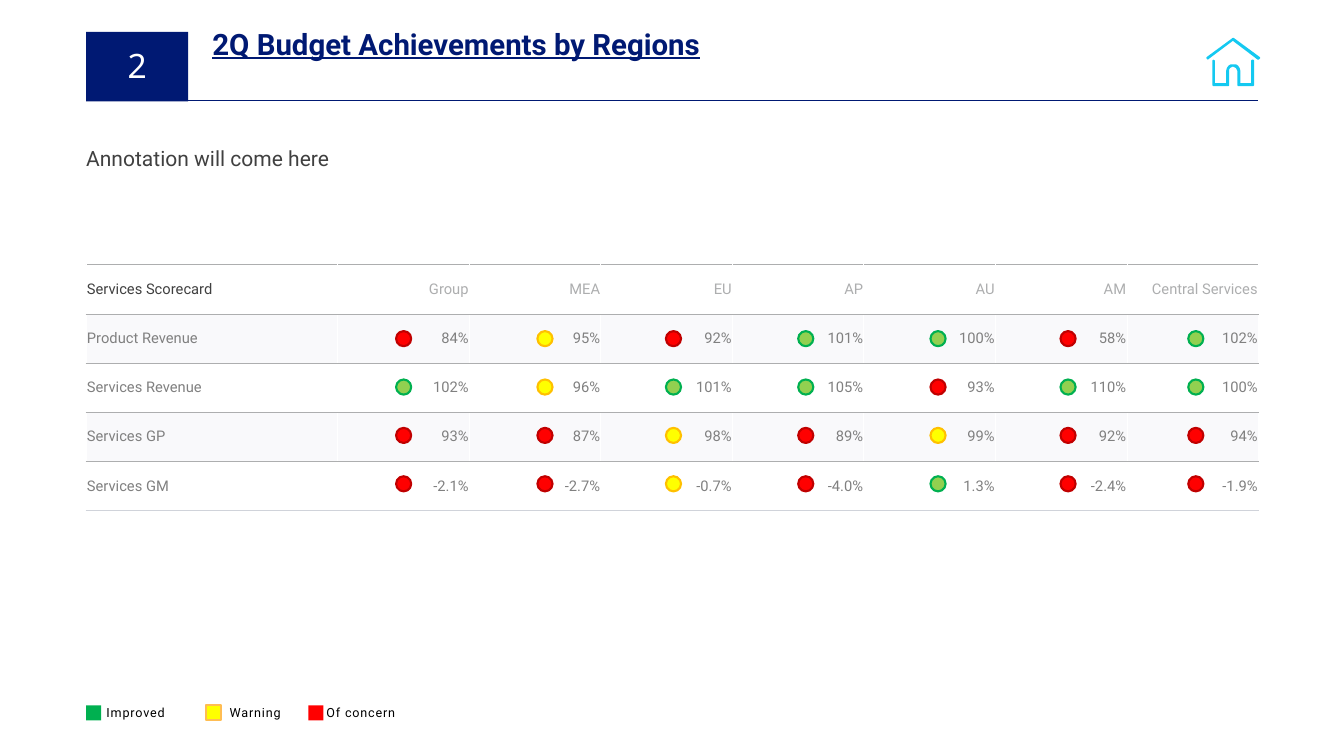
from lxml.etree import SubElement
from pptx import Presentation
from pptx.dml.color import RGBColor
from pptx.enum.shapes import MSO_CONNECTOR, MSO_SHAPE
from pptx.enum.text import MSO_ANCHOR, PP_ALIGN
from pptx.oxml.ns import qn
from pptx.util import Pt

PX = 9144  # 100 px to the inch

NAVY = RGBColor(0x00, 0x19, 0x73)
CYAN = RGBColor(0x14, 0xC9, 0xF1)
WHITE = RGBColor(0xFF, 0xFF, 0xFF)
BLACK = RGBColor(0x00, 0x00, 0x00)
DARK = RGBColor(0x40, 0x40, 0x40)
GRAY = RGBColor(0x80, 0x80, 0x80)
SILVER = RGBColor(0xAD, 0xAE, 0xAF)
PALE = RGBColor(0xD0, 0xD3, 0xDA)
BAND = RGBColor(0xF9, 0xF9, 0xFB)
RED = RGBColor(0xFF, 0x00, 0x00)
DARK_RED = RGBColor(0xC0, 0x00, 0x00)
LIME = RGBColor(0x92, 0xD0, 0x50)
GREEN = RGBColor(0x00, 0xB0, 0x50)
YELLOW = RGBColor(0xFF, 0xFF, 0x00)
AMBER = RGBColor(0xFF, 0xC0, 0x00)
ORANGE = RGBColor(0xFF, 0xBD, 0x53)


def write(frame, text, size, color, font="Roboto", spacing=0):
    """Add one run to the first paragraph; spacing is in hundredths of a point."""
    run = frame.paragraphs[0].add_run()
    run.text = text
    run.font.size = Pt(size)
    run.font.name = font
    run.font.color.rgb = color
    if spacing:
        run.font._element.set("spc", str(spacing))
    return run


def paint(shape, fill, line=None):
    """Give a shape a flat fill, no shadow and an optional 2 pt outline."""
    shape.shadow.inherit = False
    shape.fill.solid()
    shape.fill.fore_color.rgb = fill
    if line is None:
        shape.line.fill.background()
    else:
        shape.line.color.rgb = line
        shape.line.width = Pt(2)


prs = Presentation()
prs.slide_width, prs.slide_height = 1778 * PX, 1000 * PX
slide = prs.slides.add_slide(prs.slide_layouts[5])
shapes = slide.shapes

# Scorecard table
scorecard = [
    ["Services Scorecard", "Group", "MEA", "EU", "AP", "AU", "AM", "Central Services"],
    ["Product Revenue", "84%", "95%", "92%", "101%", "100%", "58%", "102%"],
    ["Services Revenue", "102%", "96%", "101%", "105%", "93%", "110%", "100%"],
    ["Services GP", "93%", "87%", "98%", "89%", "99%", "92%", "94%"],
    ["Services GM", "-2.1%", "-2.7%", "-0.7%", "-4.0%", "1.3%", "-2.4%", "-1.9%"],
]
last_row = len(scorecard) - 1
table = shapes.add_table(5, 8, 114 * PX, 350 * PX, 1550 * PX, 325 * PX).table
table.first_row = table.horz_banding = False
for c, column in enumerate(table.columns):
    column.width = (174 if c else 333) * PX
for r, row in enumerate(scorecard):
    table.rows[r].height = 65 * PX
    top = (SILVER, 0.25 if r else 0.5)
    bottom = (PALE, 1) if r == last_row else (SILVER, 0.25)
    for c, text in enumerate(row):
        cell = table.cell(r, c)
        cell.margin_left = cell.margin_top = cell.margin_right = PX
        cell.margin_bottom = 0
        cell.vertical_anchor = MSO_ANCHOR.MIDDLE
        borders = {"a:lnL": (WHITE, 1), "a:lnR": (WHITE, 1), "a:lnT": top, "a:lnB": bottom}
        for side, (color, width) in borders.items():
            border = SubElement(cell._tc.get_or_add_tcPr(), qn(side), w=str(Pt(width)))
            SubElement(SubElement(border, qn("a:solidFill")), qn("a:srgbClr"), val=str(color))
        cell.fill.solid()
        cell.fill.fore_color.rgb = BAND if r % 2 else WHITE
        if r:
            text_color = GRAY
        else:
            text_color = SILVER if c else DARK
        cell.text_frame.paragraphs[0].alignment = PP_ALIGN.RIGHT if c else PP_ALIGN.LEFT
        write(cell.text_frame, text, 14, text_color)

# Title
title = shapes.title
title.left, title.top, title.width, title.height = 281 * PX, 33 * PX, 1117 * PX, 49 * PX
heading = title.text_frame
heading.margin_left = heading.margin_right = heading.margin_bottom = 0
heading.margin_top = PX
heading.vertical_anchor = MSO_ANCHOR.TOP
heading.paragraphs[0].alignment = PP_ALIGN.LEFT
heading.paragraphs[0].space_before = Pt(1)
heading_run = write(heading, "2Q Budget Achievements by Regions", 28, NAVY)
heading_run.font.bold = heading_run.font.underline = True

# Home icon
roof = [(1632, 50), (1666, 75), (1667, 76), (1667, 77), (1665, 79), (1664, 79), (1631, 54),
        (1599, 78), (1598, 79), (1596, 77), (1596, 76), (1597, 75), (1631, 50)]
walls = [(1605, 79), (1604, 80), (1604, 113), (1605, 114), (1625, 114), (1626, 113),
         (1626, 92), (1627, 90), (1629, 89), (1631, 88), (1633, 89), (1635, 90), (1636, 92),
         (1637, 94), (1637, 113), (1638, 114), (1658, 114), (1659, 113), (1659, 80),
         (1658, 79), (1656, 79), (1655, 80), (1655, 110), (1641, 110), (1641, 94),
         (1640, 90), (1638, 87), (1635, 85), (1628, 85), (1625, 87), (1623, 90),
         (1622, 94), (1622, 110), (1607, 110), (1607, 80)]
for outline in (roof, walls):
    builder = shapes.build_freeform(*outline[0], scale=PX)
    builder.add_line_segments(outline[1:], close=True)
    paint(builder.convert_to_shape(), CYAN)

# Header rule, annotation and section number
rule = shapes.add_connector(MSO_CONNECTOR.STRAIGHT, 114 * PX, 133 * PX, 1664 * PX, 133 * PX)
rule.line.color.rgb = NAVY
rule.line.width = Pt(0.75)
SubElement(rule._element.spPr, qn("a:effectLst"))

annotation = shapes.add_textbox(114 * PX, 175 * PX, 1281 * PX, 47 * PX).text_frame
annotation.word_wrap = True
annotation.margin_left = annotation.margin_right = annotation.margin_bottom = 0
annotation.margin_top = PX
annotation.paragraphs[0].line_spacing = 1.5
write(annotation, "Annotation will come here", 20, DARK)

section = shapes.add_shape(MSO_SHAPE.RECTANGLE, 114 * PX, 42 * PX, 135 * PX, 92 * PX)
paint(section, NAVY)
number = section.text_frame
number.margin_left = number.margin_right = number.margin_top = 0
number.margin_bottom = 4 * PX
number.vertical_anchor = MSO_ANCHOR.MIDDLE
number.paragraphs[0].alignment = PP_ALIGN.CENTER
write(number, "2", 32, WHITE, "Noto Sans", -200)

# Status dots, one group per region, top row first
status_colors = {"R": (RED, DARK_RED), "G": (LIME, GREEN), "Y": (YELLOW, AMBER)}
region_dots = [(524, "RGRR"), (711, "YYRR"), (881, "RGYY"), (1056, "GGRR"),
               (1231, "GRYG"), (1403, "RGRR"), (1572, "GGRR")]
for left, statuses in region_dots:
    dots = shapes.add_group_shape().shapes
    for i, status in enumerate(statuses):
        dot = dots.add_shape(MSO_SHAPE.OVAL, left * PX, (438 + 64 * i) * PX, 20 * PX, 20 * PX)
        paint(dot, *status_colors[status])

# Legend
legend = shapes.add_group_shape().shapes
for key_left, label_left, label_width, label, fill, line in [
    (114, 131, 182, "Improved", GREEN, None),
    (408, 422, 208, "Of concern", RED, None),
    (272, 294, 236, "Warning", YELLOW, ORANGE),
]:
    key = legend.add_shape(MSO_SHAPE.RECTANGLE, key_left * PX, 933 * PX, 20 * PX, 20 * PX)
    paint(key, fill, line)
    caption = legend.add_textbox(label_left * PX, 928 * PX, label_width * PX, 30 * PX).text_frame
    caption.word_wrap = True
    write(caption, label, 12, BLACK, spacing=80)

prs.save("out.pptx")
